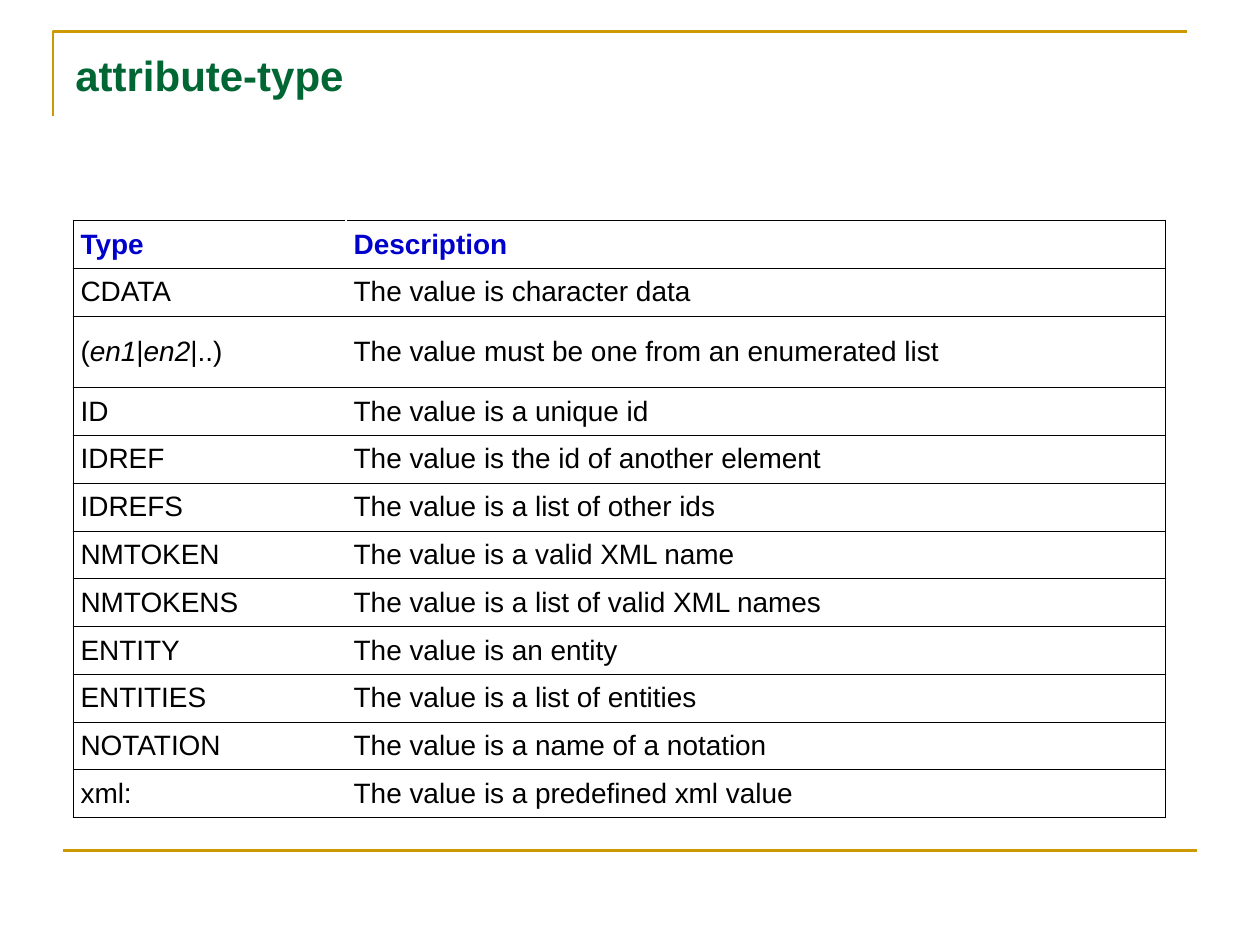
from dataclasses import dataclass

from lxml import etree
from pptx import Presentation
from pptx.dml.color import RGBColor
from pptx.enum.shapes import MSO_CONNECTOR
from pptx.enum.text import MSO_ANCHOR
from pptx.oxml.ns import qn
from pptx.util import Inches, Pt

STRAIGHT = MSO_CONNECTOR.STRAIGHT
TOP, MIDDLE = MSO_ANCHOR.TOP, MSO_ANCHOR.MIDDLE

WIDTH, HEIGHT = Inches(10), Inches(7.5)
FONT = "Arial"
COLOURS = {
    "rule": "CC9900",
    "title": "006633",
    "header": "0000CC",
    "text": "000000",
    "border": "000000",
}
RULE_WEIGHT, BORDER_WEIGHT = Pt(1.5), Pt(0.45)

# Table grid: column shares and row heights in units of a plain row
TABLE_LEFT, TABLE_TOP = Inches(0.58), Inches(1.75)
TABLE_WIDTH, TABLE_HEIGHT = Inches(8.67), Inches(4.74)
COLUMN_SHARES = (0.25, 0.75)


@dataclass(frozen=True)
class Span:
    text: str
    italic: bool = False


@dataclass(frozen=True)
class Row:
    kind: tuple[Span, ...]
    description: str
    units: float = 1
    header: bool = False


def plain(kind: str, description: str, header: bool = False) -> Row:
    return Row((Span(kind),), description, header=header)


ENUMERATION = (Span("("), Span("en1", True), Span("|"), Span("en2", True), Span("|..)"))
ROWS = (
    plain("Type", "Description", header=True),
    plain("CDATA", "The value is character data"),
    Row(ENUMERATION, "The value must be one from an enumerated list", units=1.5),
    plain("ID", "The value is a unique id"),
    plain("IDREF", "The value is the id of another element"),
    plain("IDREFS", "The value is a list of other ids"),
    plain("NMTOKEN", "The value is a valid XML name"),
    plain("NMTOKENS", "The value is a list of valid XML names"),
    plain("ENTITY", "The value is an entity"),
    plain("ENTITIES", "The value is a list of entities"),
    plain("NOTATION", "The value is a name of a notation"),
    plain("xml:", "The value is a predefined xml value"),
)


def colour(name: str) -> RGBColor:
    return RGBColor.from_string(COLOURS[name])


def add_span(para, span: Span, size: float, ink: str, bold: bool) -> None:
    run = para.add_run()
    run.text = span.text
    run.font.name = FONT
    run.font.size = Pt(size)
    run.font.bold = bold
    run.font.italic = span.italic
    run.font.color.rgb = colour(ink)


def style_rule(shape) -> None:
    shape.line.color.rgb = colour("rule")
    shape.line.width = RULE_WEIGHT


def add_rules(page) -> None:
    # Corner bracket around the title
    left, top = Inches(0.42), Inches(0.25)
    builder = page.shapes.build_freeform(left, Inches(0.92))
    builder.add_line_segments([(left, top), (Inches(9.42), top)], close=False)
    bracket = builder.convert_to_shape()
    bracket.fill.background()
    bracket.shadow.inherit = False
    style_rule(bracket)

    # Footer rule
    level = int(HEIGHT * 0.9)
    footer = page.shapes.add_connector(
        STRAIGHT, int(WIDTH * 0.05), level, int(WIDTH * 0.95), level
    )
    style_rule(footer)
    etree.SubElement(footer._element.spPr, qn("a:effectLst"))


def add_title(page, text: str) -> None:
    box = page.shapes.add_textbox(
        int(WIDTH * 0.05), int(HEIGHT * 0.04), int(WIDTH * 0.9), Inches(1.25)
    )
    frame = box.text_frame
    frame.word_wrap = True
    frame.vertical_anchor = TOP
    frame.margin_top = Inches(0.09)
    add_span(frame.paragraphs[0], Span(text), 24, "title", True)


def set_borders(cell, sides: str) -> None:
    properties = cell._tc.get_or_add_tcPr()
    for side in sides:
        line = etree.SubElement(properties, qn(f"a:ln{side}"), w=str(int(BORDER_WEIGHT)))
        fill = etree.SubElement(line, qn("a:solidFill"))
        etree.SubElement(fill, qn("a:srgbClr"), val=COLOURS["border"])


def fill_cell(cell, spans: tuple[Span, ...], header: bool, sides: str) -> None:
    cell.vertical_anchor = MIDDLE
    cell.margin_left = cell.margin_right = Inches(0.06)
    cell.margin_top = cell.margin_bottom = Inches(0.05)
    set_borders(cell, sides)
    cell.fill.background()
    para = cell.text_frame.paragraphs[0]
    for span in spans:
        add_span(para, span, 16, "header" if header else "text", header)


def add_type_table(page) -> None:
    table = page.shapes.add_table(
        len(ROWS), len(COLUMN_SHARES), TABLE_LEFT, TABLE_TOP, TABLE_WIDTH, TABLE_HEIGHT
    ).table
    table.horz_banding = False
    for column, share in zip(table.columns, COLUMN_SHARES):
        column.width = int(TABLE_WIDTH * share)
    unit = TABLE_HEIGHT / sum(row.units for row in ROWS)
    for index, row in enumerate(ROWS):
        table.rows[index].height = int(unit * row.units)
        # Only the outer edges have vertical borders
        fill_cell(table.cell(index, 0), row.kind, row.header, "LTB")
        fill_cell(table.cell(index, 1), (Span(row.description),), row.header, "RTB")


def main() -> None:
    deck = Presentation()
    deck.slide_width, deck.slide_height = WIDTH, HEIGHT
    page = deck.slides.add_slide(deck.slide_layouts[6])
    add_rules(page)
    add_title(page, "attribute-type")
    add_type_table(page)
    deck.save("out.pptx")


if __name__ == "__main__":
    main()
